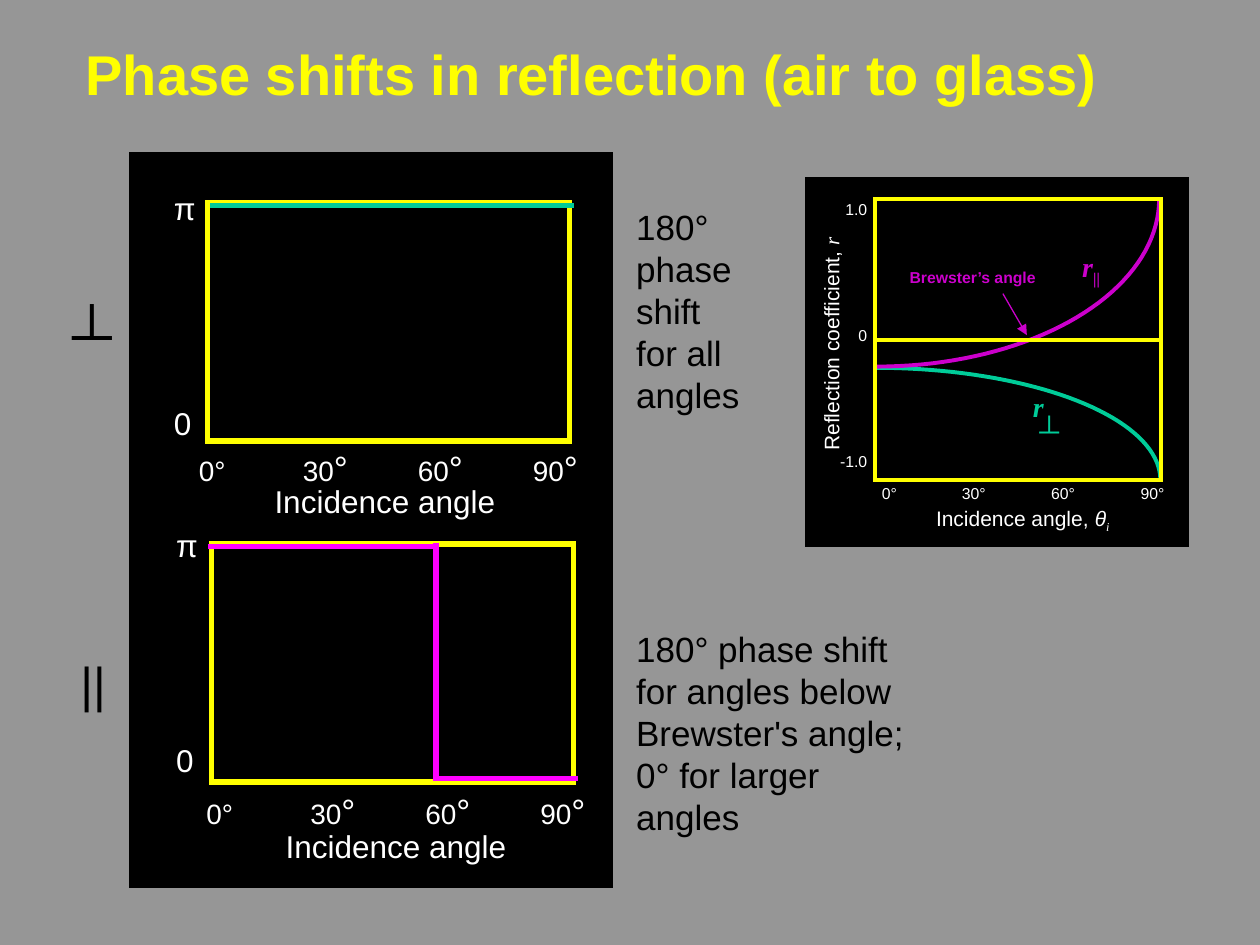
"""Build the slide on phase shifts in reflection from air to glass."""
from math import cos, pi, sin

from lxml import etree
from pptx import Presentation
from pptx.dml.color import RGBColor
from pptx.enum.shapes import MSO_CONNECTOR, MSO_SHAPE
from pptx.enum.text import MSO_ANCHOR, PP_ALIGN
from pptx.oxml.ns import qn
from pptx.util import Pt

RECT = MSO_SHAPE.RECTANGLE
STRAIGHT = MSO_CONNECTOR.STRAIGHT
MIDDLE = MSO_ANCHOR.MIDDLE
CENTER, RIGHT = PP_ALIGN.CENTER, PP_ALIGN.RIGHT

GRAY = RGBColor(0x96, 0x96, 0x96)
BLACK = RGBColor(0, 0, 0)
WHITE = RGBColor(0xFF, 0xFF, 0xFF)
YELLOW = RGBColor(0xFF, 0xFF, 0)
GREEN = RGBColor(0, 0xCC, 0x99)
MAGENTA = RGBColor(0xFF, 0, 0xFF)
PURPLE = RGBColor(0xCC, 0, 0xCC)
SANS, SERIF = "Arial", "Times New Roman"


class Deck:
    """Holds the style and the current slide."""

    def __init__(self, width, height, background):
        self.prs = Presentation()
        self.prs.slide_width, self.prs.slide_height = Pt(width), Pt(height)
        self.s = self.prs.slides.add_slide(self.prs.slide_layouts[6])
        self.s.background.fill.solid()
        self.s.background.fill.fore_color.rgb = background

    def outline(self, sp, color, weight):
        sp.line.color.rgb = color
        sp.line.width = Pt(weight)

    def rect(self, x, y, w, h, color, weight, fill=None):
        sp = self.s.shapes.add_shape(RECT, Pt(x), Pt(y), Pt(w), Pt(h))
        sp.shadow.inherit = False
        if fill is None:
            sp.fill.background()
        else:
            sp.fill.solid()
            sp.fill.fore_color.rgb = fill
        self.outline(sp, color, weight)
        etree.SubElement(sp.line._get_or_add_ln(), qn("a:miter"), lim="800000")

    def line(self, x1, y1, x2, y2, color, weight, arrow=False):
        sp = self.s.shapes.add_connector(STRAIGHT, Pt(x1), Pt(y1), Pt(x2), Pt(y2))
        self.outline(sp, color, weight)
        if arrow:
            etree.SubElement(sp.line._get_or_add_ln(), qn("a:tailEnd"), type="triangle")
        etree.SubElement(sp._element.spPr, qn("a:effectLst"))

    def quarter_ellipse(self, x1, y1, x2, y2, color, weight, steps=40):
        angles = [pi / 2 * i / steps for i in range(steps + 1)]
        points = [(Pt(x1 + (x2 - x1) * sin(a)), Pt(y1 + (y2 - y1) * (1 - cos(a))))
                  for a in angles]
        builder = self.s.shapes.build_freeform(*points[0])
        builder.add_line_segments(points[1:], close=False)
        sp = builder.convert_to_shape()
        sp.shadow.inherit = False
        sp.fill.background()
        self.outline(sp, color, weight)

    def format(self, r, size, color, font=SANS, bold=False, italic=False, baseline=0):
        r.font.name, r.font.size = font, Pt(size)
        r.font.bold, r.font.italic = bold, italic
        r.font.color.rgb = color
        if baseline:
            r._r.get_or_add_rPr().set("baseline", str(baseline))

    def run(self, p, text, size, color, **style):
        r = p.add_run()
        r.text = text
        self.format(r, size, color, **style)

    def text(self, x, y, w, h, text, size, color, wrap=True, align=None,
             anchor=None, gap=None, tabs=(), rotation=0, **style):
        sp = self.s.shapes.add_textbox(Pt(x), Pt(y), Pt(w), Pt(h))
        sp.rotation = rotation
        tf = sp.text_frame
        tf.word_wrap = wrap
        tf.vertical_anchor = anchor
        tf.text = text
        for i, p in enumerate(tf.paragraphs):
            p.alignment = align
            if gap and i:
                p.space_before = Pt(gap)
            if tabs:
                stops = etree.SubElement(p._p.get_or_add_pPr(), qn("a:tabLst"))
                for tab in tabs:
                    etree.SubElement(stops, qn("a:tab"), pos=str(Pt(tab)), algn="l")
            for r in p.runs:
                self.format(r, size, color, **style)
        return tf.paragraphs[0]

    def phase_plot(self, frame, column, row, caption):
        self.rect(*frame, 206.6, 136.1, YELLOW, 3)
        self.text(*column, 42.5, 159.1, "π\n0", 18, WHITE, gap=101.2)
        tabs = [59.4 + 65.7 * i for i in range(3)]
        p = self.text(*row, 239.8, 60.5, "0°", 16, WHITE, tabs=tabs)
        for angle in (30, 60, 90):
            self.run(p, f"\t{angle}", 16, WHITE)
            self.run(p, "°", 20, WHITE)
        self.text(*caption, 172.8, 28.8, "Incidence angle", 18, WHITE)


def main():
    deck = Deck(720, 540, GRAY)
    deck.text(41.8, 5.8, 612, 72, "Phase shifts in reflection (air to glass)",
              32, YELLOW, bold=True, anchor=MIDDLE)
    deck.text(356.4, 113.8, 108.7, 127.4, "180° phase shift\nfor all angles", 20, BLACK)
    deck.text(356.4, 355, 183.6, 122.4,
              "180° phase shift\nfor angles below\nBrewster's angle;\n0° for larger angles",
              20, BLACK)

    deck.rect(74.2, 87.1, 275.8, 419.8, BLACK, 0.75, fill=BLACK)
    deck.phase_plot((118.8, 115.9), (92.2, 104.4), (106.6, 251.6), (149.8, 271.8))
    deck.phase_plot((121, 310.8), (93.6, 297.2), (110.9, 447.4), (156.2, 469))
    deck.line(120.2, 117.4, 328.3, 117.4, GREEN, 3)
    for ends in ((118.8, 312.5, 247.7, 312.5),
                 (249.1, 310.3, 249.1, 446.4),
                 (247.7, 445, 330.5, 445)):
        deck.line(*ends, MAGENTA, 3)
    deck.text(34.6, 167.4, 46.1, 45.4, "┴", 32, BLACK, bold=True)
    deck.text(38.9, 370.1, 31.7, 41, "||", 28, BLACK)

    deck.rect(460.4, 101.5, 218.9, 211, BLACK, 0.75, fill=BLACK)
    deck.quarter_ellipse(500.4, 210.2, 663.1, 274.3, GREEN, 2.25)
    deck.quarter_ellipse(501.1, 209.5, 662.4, 113.8, PURPLE, 2.25)
    deck.rect(500, 113.8, 163.4, 160.6, YELLOW, 2.25)
    deck.line(499.7, 194.4, 663.8, 194.4, YELLOW, 2.25)
    p = deck.text(527.8, 285.1, 130, 21.6, "Incidence angle, ", 12, WHITE)
    deck.run(p, "θ", 12, WHITE, italic=True)
    deck.run(p, "i", 12, WHITE, font=SERIF, italic=True, baseline=-25000)
    p = deck.text(406.8, 185.8, 136.1, 21.6, "Reflection coefficient, ", 12, WHITE,
                  wrap=False, rotation=270)
    deck.run(p, "r", 12, WHITE, font=SERIF, italic=True)
    deck.text(468, 110.5, 34.6, 167.8, "1.0\n0\n-1.0", 9, WHITE, align=RIGHT, gap=61.3)
    deck.text(496.8, 272.9, 179.3, 18, "0°\t30°\t60°\t90°", 9, WHITE,
              tabs=[45.7 + 51.1 * i for i in range(3)])

    symbol = {"font": SERIF, "bold": True, "italic": True}
    p = deck.text(611.3, 139, 25.2, 26.6, "r", 16, PURPLE, wrap=False, **symbol)
    deck.run(p, "||", 16, PURPLE, baseline=-25000, **symbol)
    deck.text(583.2, 218.9, 18.7, 26.6, "r", 16, GREEN, **symbol)
    deck.text(586.8, 232.6, 24.5, 26.6, "┴", 16, GREEN, bold=True, italic=True)
    deck.text(512.6, 149.4, 86.4, 18, "Brewster’s angle", 9, PURPLE,
              wrap=False, align=CENTER, bold=True)
    deck.line(573.1, 167.8, 586.8, 191.5, PURPLE, 0.75, arrow=True)
    deck.prs.save("out.pptx")


if __name__ == "__main__":
    main()
